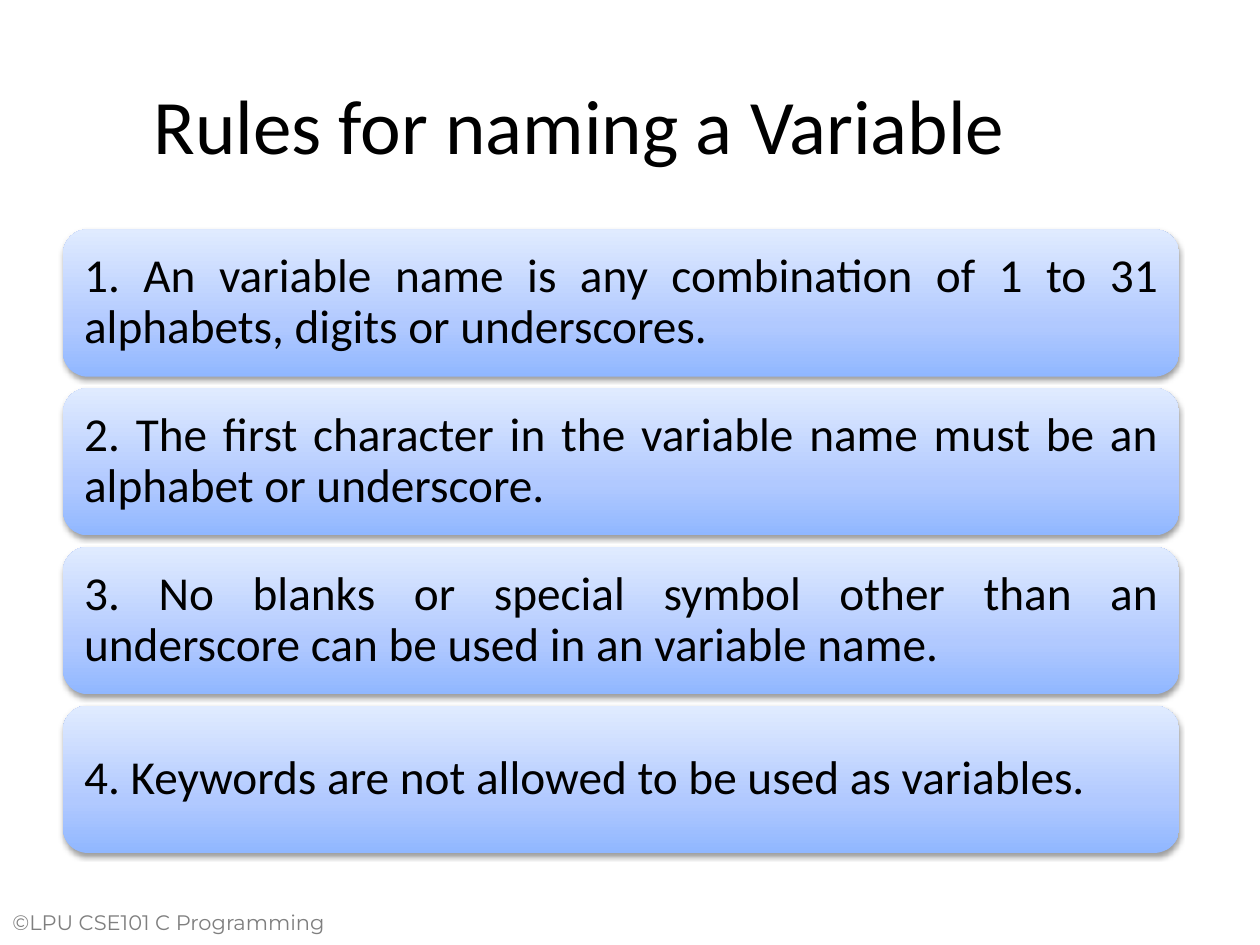
from copy import deepcopy
from dataclasses import dataclass

from lxml import etree
from pptx import Presentation
from pptx import util as u
from pptx.dml.color import RGBColor
from pptx.enum import shapes, text
from pptx.oxml import ns

PX = 9144  # EMU per px, 100 px to the inch


@dataclass(frozen=True)
class Theme:
    ink: str = "000000"
    muted: str = "7F7F7F"
    shadow: str = "000000"
    card_stops: tuple = ((0, "90B7FF"), (0.35, "B1C9FF"), (1, "E0EBFF"))
    body_font: str = "Calibri"
    footer_font: str = "Montserrat"
    title_size: int = 44
    rule_size: int = 27
    footer_size: int = 12


theme = Theme()


def write(shape, content, *, size, font=theme.body_font, color=theme.ink,
          align=text.PP_ALIGN.LEFT, anchor=text.MSO_ANCHOR.MIDDLE,
          margins=(10, 5), line_spacing=None):
    """Fill a shape with one paragraph; margins are (side, top and bottom) in px."""
    frame = shape.text_frame
    frame.word_wrap = True
    frame.vertical_anchor = anchor
    frame.margin_left = frame.margin_right = margins[0] * PX
    frame.margin_top = frame.margin_bottom = margins[1] * PX
    paragraph = frame.paragraphs[0]
    paragraph.alignment = align
    paragraph.line_spacing = line_spacing
    run = paragraph.add_run()
    run.text = content
    run.font.name = font
    run.font.size = u.Pt(size)
    run.font.color.rgb = RGBColor.from_string(color)


def style_card(shape):
    """Apply the three-stop upward gradient and the soft shadow below."""
    shape.line.fill.background()
    shape.fill.gradient()
    shape.fill.gradient_angle = 90
    properties = shape._element.spPr
    stop_list = properties.find(f"{ns.qn('a:gradFill')}/{ns.qn('a:gsLst')}")
    stop_list.insert(1, deepcopy(stop_list[0]))
    for stop, (position, color) in zip(shape.fill.gradient_stops, theme.card_stops):
        stop.position = position
        stop.color.rgb = RGBColor.from_string(color)

    shape.shadow.inherit = False
    effects = properties.find(ns.qn("a:effectLst"))
    shadow = etree.SubElement(effects, ns.qn("a:outerShdw"), blurRad="40000",
                              dist="20000", dir="5400000", rotWithShape="0")
    shade = etree.SubElement(shadow, ns.qn("a:srgbClr"), val=theme.shadow)
    etree.SubElement(shade, ns.qn("a:alpha"), val="38000")


presentation = Presentation()
presentation.slide_width = 1000 * PX
presentation.slide_height = 750 * PX
slide = presentation.slides.add_slide(presentation.slide_layouts[6])

footer = slide.shapes.add_textbox(0, 717 * PX, 300 * PX, 42 * PX)
write(footer, "©LPU CSE101 C Programming", size=theme.footer_size,
      font=theme.footer_font, color=theme.muted, anchor=text.MSO_ANCHOR.TOP)

title = slide.shapes.add_textbox(17 * PX, 42 * PX, 886 * PX, 112 * PX)
write(title, "Rules for naming a Variable", size=theme.title_size,
      align=text.PP_ALIGN.CENTER)

rules = [
    "1. An variable name is any combination of 1 to 31 alphabets, digits or underscores.",
    "2. The first character in the variable name must be an alphabet or underscore.",
    "3. No blanks or special symbol other than an underscore can be used in an variable name.",
    "4. Keywords are not allowed to be used as variables.",
]
card_left, first_top, card_width, card_height, gap = 50, 182, 886, 117, 9

for index, rule in enumerate(rules):
    top = first_top + index * (card_height + gap)
    card = slide.shapes.add_shape(
        shapes.MSO_SHAPE.ROUNDED_RECTANGLE,
        card_left * PX, top * PX, card_width * PX, card_height * PX)
    card.adjustments[0] = 0.17
    style_card(card)
    write(card, rule, size=theme.rule_size, align=text.PP_ALIGN.JUSTIFY,
          margins=(11, 11), line_spacing=0.9)

presentation.save("out.pptx")
